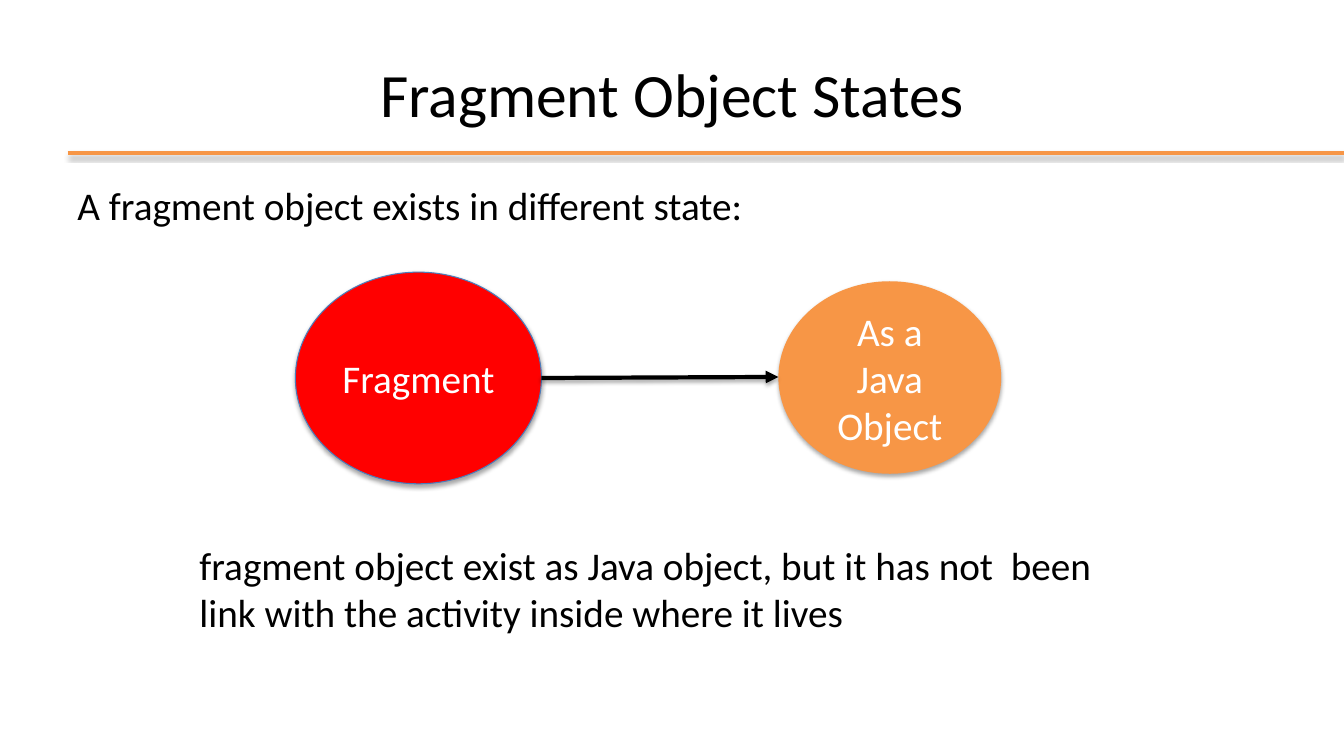
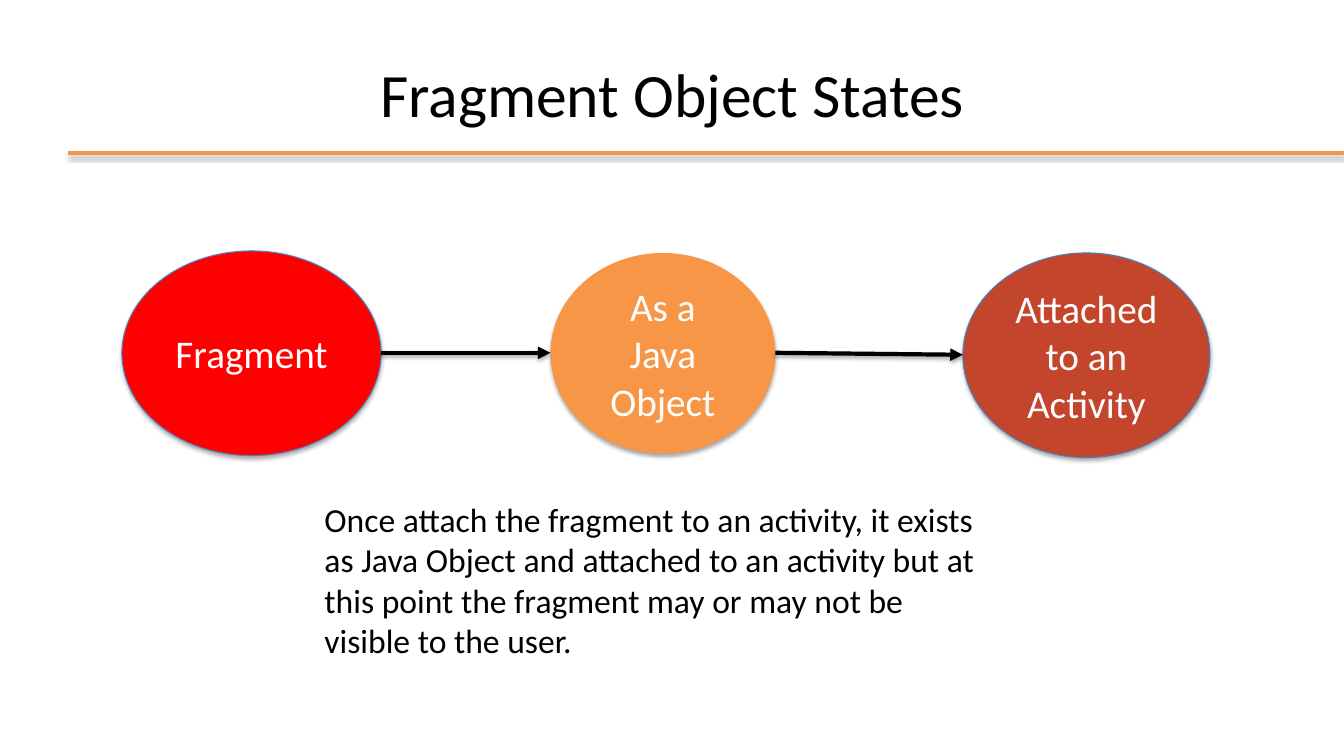
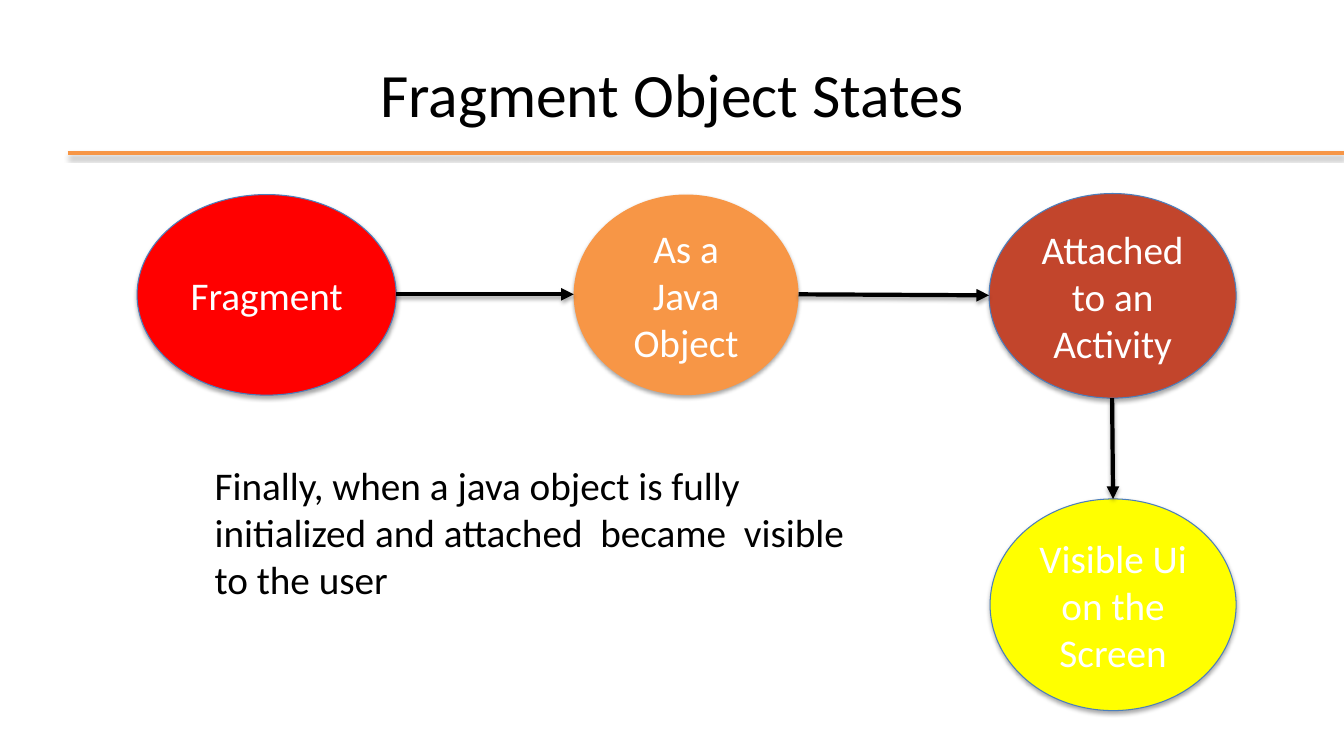
from lxml import etree
from pptx import Presentation
from pptx import util as u
from pptx.dml.color import RGBColor
from pptx.enum import shapes, text
from pptx.oxml import ns

SCALE = 9144
WIDE, HIGH = 1333, 750
FONT = "Calibri"
HUES = {
    "ink": "000000", "white": "FFFFFF", "rule": "F79646", "edge": "4B7EBC",
    "red": "FF0000", "orange": "F79646", "rust": "C2452C", "yellow": "FFFF00",
}
STATES = {
    "start": ("Fragment", "red", "edge"),
    "java": ("As a Java Object", "orange", None),
    "bound": ("Attached to an Activity", "rust", "edge"),
    "seen": ("Visible Ui on the Screen", "yellow", "edge"),
}


def px(*sizes):
    """Turn px lengths into EMU."""
    return [u.Emu(size * SCALE) for size in sizes]


def hue(name):
    """Look up a colour by name."""
    return RGBColor.from_string(HUES[name])


def shade(shape):
    """Give a shape or line the soft shadow of the deck."""
    props = shape._element.spPr
    effects = etree.SubElement(props, ns.qn("a:effectLst"))
    outer = etree.SubElement(
        effects, ns.qn("a:outerShdw"), blurRad=str(u.Pt(3.1)),
        dist=str(u.Pt(1.8)), dir="5400000", rotWithShape="0")
    black = etree.SubElement(outer, ns.qn("a:srgbClr"), val=HUES["ink"])
    etree.SubElement(black, ns.qn("a:alpha"), val="35000")


def write(shape, words, size=28, color="ink", align="LEFT", anchor="TOP"):
    """Put formatted text in a shape."""
    frame = shape.text_frame
    frame.word_wrap = True
    frame.vertical_anchor = getattr(text.MSO_ANCHOR, anchor)
    line = frame.paragraphs[0]
    line.alignment = getattr(text.PP_ALIGN, align)
    run = line.add_run()
    run.text = words
    run.font.name, run.font.size = FONT, u.Pt(size)
    run.font.color.rgb = hue(color)


def note(page, box, words, **style):
    """Add a text box."""
    write(page.shapes.add_textbox(*px(*box)), words, **style)


def stroke(page, start, end, color="ink", arrow=True):
    """Draw a shadowed line, with an arrowhead if wanted."""
    link = page.shapes.add_connector(
        shapes.MSO_CONNECTOR.STRAIGHT, *px(*start, *end))
    link.line.color.rgb = hue(color)
    link.line.width = u.Pt(3)
    if arrow:
        edge = link.line._get_or_add_ln()
        etree.SubElement(edge, ns.qn("a:tailEnd"), type="triangle")
    shade(link)


def state(page, box, name):
    """Draw one state as an ellipse with its label."""
    label, fill, edge = STATES[name]
    oval = page.shapes.add_shape(shapes.MSO_SHAPE.OVAL, *px(*box))
    oval.fill.solid()
    oval.fill.fore_color.rgb = hue(fill)
    if edge:
        oval.line.color.rgb = hue(edge)
        oval.line.width = u.Pt(0.75)
    else:
        oval.line.fill.background()
    shade(oval)
    write(oval, label, color="white", align="CENTER", anchor="MIDDLE")


def join(page, one, two):
    """Link two boxes, sideways or downwards."""
    x, y, w, h = one
    left, top, wide, high = two
    if left > x + w:
        stroke(page, (x + w, y + h // 2), (left, top + high // 2))
    else:
        stroke(page, (x + w // 2, y + h), (left + wide // 2, top))


def chain(page, origin, nodes):
    """Draw states in order from an origin, each linked to the next."""
    left, top = origin
    boxes = [(left + x, top + y, w, h) for _, x, y, w, h in nodes]
    for box, node in zip(boxes, nodes):
        state(page, box, node[0])
    for one, two in zip(boxes, boxes[1:]):
        join(page, one, two)


def head(page, box, words):
    """Set the centred title over the rule that runs to the edge."""
    left, top, _, high = box
    base = top + high - 3
    stroke(page, (left, base), (WIDE, base), color="rule", arrow=False)
    note(page, box, words, size=44, align="CENTER", anchor="MIDDLE")


def build(deck, origin, nodes, notes):
    """Add a slide with a title, a chain of states and notes."""
    page = deck.slides.add_slide(deck.slide_layouts[6])
    head(page, (67, 30, 1200, 125), "Fragment Object States")
    chain(page, origin, nodes)
    for box, words, size in notes:
        note(page, box, words, size=size)


def main():
    """Build and save the deck."""
    deck = Presentation()
    deck.slide_width, deck.slide_height = px(WIDE, HIGH)
    build(deck, (293, 270), [
        ("start", 0, 0, 244, 210),
        ("java", 479, 9, 221, 191),
    ], [
        ((67, 175, 1200, 57),
         "A fragment object exists in different state:", 28),
        ((188, 532, 957, 104),
         "fragment object exist as Java object, but it has not  been "
         "link with the activity inside where it lives", 28),
    ])
    build(deck, (121, 249), [
        ("start", 0, 0, 257, 203),
        ("java", 425, 2, 223, 199),
        ("bound", 834, 2, 245, 203),
    ], [
        ((312, 490, 677, 172),
         "Once attach the fragment to an activity, it exists as Java Object "
         "and attached to an activity but at this point the fragment may or "
         "may not be  visible to the user.", 24),
    ])
    build(deck, (136, 192), [
        ("start", 0, 1, 257, 199),
        ("java", 433, 1, 223, 199),
        ("bound", 845, 0, 245, 203),
        ("seen", 846, 303, 244, 210),
    ], [
        ((203, 453, 677, 151),
         "Finally, when a java object is fully initialized and attached  "
         "became  visible to the user", 28),
    ])
    deck.save("out.pptx")


if __name__ == "__main__":
    main()
